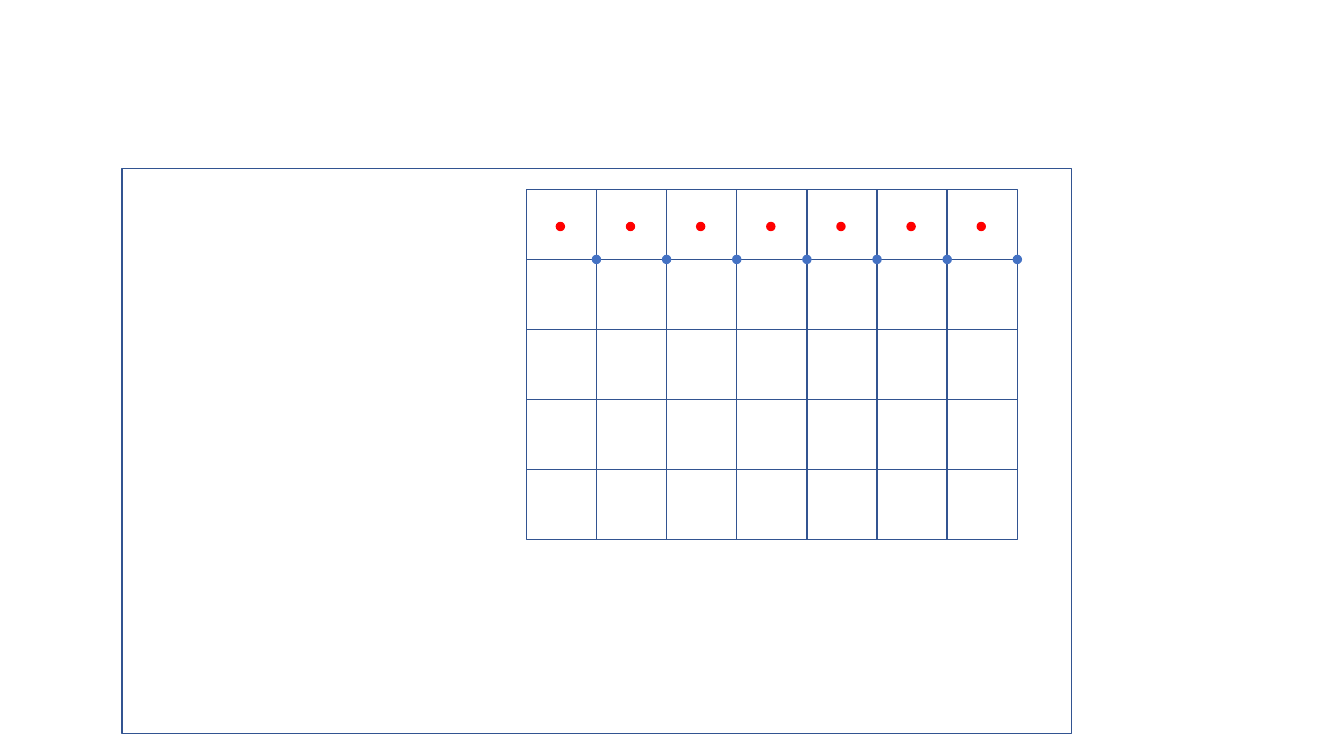
from pptx import Presentation
from pptx import util as u
from pptx.dml import color
from pptx.enum import shapes

COLORS = {"outline": "325491", "corner": "4472C4", "center": "FF0000"}
COLUMNS, ROWS = 7, 5
DOT_SIZE = 0.08


def add_outlined(page, kind, box, line, fill=None):
    """Add a preset shape at box (left, top, width, height in inches)."""
    shape = page.shapes.add_shape(kind, *[u.Inches(length) for length in box])
    shape.shadow.inherit = False
    shape.line.color.rgb = color.RGBColor.from_string(COLORS[line])
    shape.line.width = u.Pt(1)
    if fill:
        shape.fill.solid()
        shape.fill.fore_color.rgb = color.RGBColor.from_string(COLORS[fill])
    else:
        shape.fill.background()
    return shape


def add_dot(page, center_x, center_y, name):
    box = (center_x - DOT_SIZE / 2, center_y - DOT_SIZE / 2, DOT_SIZE, DOT_SIZE)
    add_outlined(page, shapes.MSO_SHAPE.OVAL, box, name, fill=name)


def add_grid(page, box):
    left, top, width, height = box
    cell_width, cell_height = width / COLUMNS, height / ROWS

    # Cells, row by row
    for row in range(ROWS):
        for column in range(COLUMNS):
            cell = (left + column * cell_width, top + row * cell_height,
                    cell_width, cell_height)
            add_outlined(page, shapes.MSO_SHAPE.RECTANGLE, cell, "outline")

    # Dots on the lower right corners of the first row
    for column in range(COLUMNS):
        add_dot(page, left + (column + 1) * cell_width, top + cell_height, "corner")

    # Dots near the centers of the first row, slightly left and low
    for column in range(COLUMNS):
        add_dot(page, left + (column + 0.5) * cell_width - 0.01,
                top + cell_height / 2 + 0.02, "center")


def add_frame(page, box):
    add_outlined(page, shapes.MSO_SHAPE.RECTANGLE, box, "outline")


def main():
    deck = Presentation()
    deck.slide_width, deck.slide_height = u.Inches(13.33), u.Inches(7.5)
    page = deck.slides.add_slide(deck.slide_layouts[6])
    add_grid(page, (5.22, 1.88, 4.87, 3.47))
    add_frame(page, (1.21, 1.67, 9.42, 5.61))
    deck.save("out.pptx")


if __name__ == "__main__":
    main()
